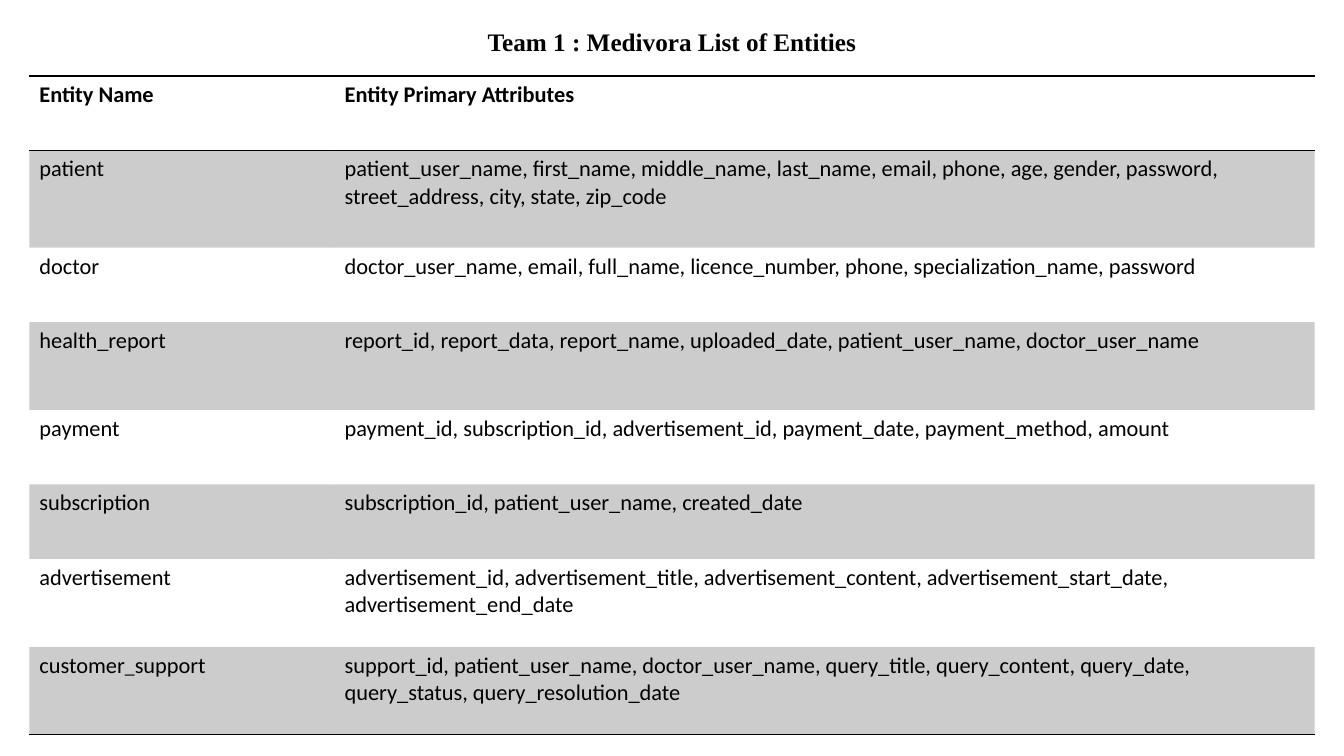
from pptx import Presentation
from pptx.dml.color import RGBColor as RGB
from pptx.enum.text import MSO_ANCHOR as Anchor, MSO_AUTO_SIZE as Fit, PP_ALIGN as Align
from pptx.oxml.ns import qn
from pptx.util import Pt
from lxml.etree import SubElement as Sub

HUES = {"ink": "000000"}
PLAIN = "{2D5ABB26-0587-4C30-8999-92F81FD0307C}"
COLS = [218, 700]
SHORT, MID, TALL = 53.2, 62.8, 69.4
ROWS = [
    (SHORT, "Entity Name", "Entity Primary Attributes"),
    (TALL, "patient", "patient_user_name, first_name, middle_name, last_name, email, phone, "
     "age, gender, password, street_address, city, state, zip_code"),
    (SHORT, "doctor", "doctor_user_name, email, full_name, licence_number, phone, "
     "specialization_name, password"),
    (MID, "health_report", "report_id, report_data, report_name, uploaded_date, "
     "patient_user_name, doctor_user_name"),
    (SHORT, "payment", "payment_id, subscription_id, advertisement_id, payment_date, "
     "payment_method, amount"),
    (SHORT, "subscription", "subscription_id, patient_user_name, created_date"),
    (MID, "advertisement", "advertisement_id, advertisement_title, advertisement_content, "
     "advertisement_start_date, advertisement_end_date"),
    (MID, [("customer", 16), ("_", 14), ("support", 16)],
     "support_id, patient_user_name, doctor_user_name, query_title, query_content, "
     "query_date, query_status, query_resolution_date"),
]


def write(frame, text, size=16, font="Calibri", bold=False, align=Align.LEFT):
    """Write one paragraph, given as a string or as (piece, size) pairs."""
    frame.word_wrap = True
    para = frame.paragraphs[0]
    para.alignment = align
    for piece, points in [(text, size)] if isinstance(text, str) else text:
        run = para.add_run()
        run.text = piece
        run.font.size, run.font.name, run.font.bold = Pt(points), font, bold
        run.font.color.rgb = RGB.from_string(HUES["ink"])


def rule(cell, side):
    """Draw a one-point border on the side lnT or lnB of a cell."""
    line = Sub(cell._tc.get_or_add_tcPr(), qn(f"a:{side}"), w=str(Pt(1)))
    Sub(Sub(line, qn("a:solidFill")), qn("a:srgbClr"), val=HUES["ink"])


def shade(cell, alpha):
    """Fill a cell with ink at the given percentage of opacity."""
    cell.fill.solid()
    cell.fill.fore_color.rgb = RGB.from_string(HUES["ink"])
    hue = cell._tc.tcPr.find(".//" + qn("a:solidFill") + "[last()]/" + qn("a:srgbClr"))
    for hue in cell._tc.tcPr.findall(qn("a:solidFill") + "/" + qn("a:srgbClr")):
        Sub(hue, qn("a:alpha"), val=str(alpha * 1000))


def head(slide, text):
    """Place and format the slide title."""
    title = slide.shapes.title
    title.left, title.top, title.width, title.height = Pt(338), Pt(15), Pt(284), Pt(27)
    frame = title.text_frame
    frame.auto_size, frame.vertical_anchor = Fit.NONE, Anchor.TOP
    write(frame, text, size=18, font="Times New Roman", bold=True, align=Align.CENTER)


def grid(slide, left, top):
    """Add the table of entities with banded rows and three rules."""
    high = sum(row[0] for row in ROWS)
    table = slide.shapes.add_table(len(ROWS), len(COLS), Pt(left), Pt(top),
                                   Pt(sum(COLS)), Pt(high)).table
    table._tbl.tblPr.find(qn("a:tableStyleId")).text = PLAIN
    table.first_row = table.horz_banding = False
    for col, wide in zip(table.columns, COLS):
        col.width = Pt(wide)
    last = len(ROWS) - 1
    for r, (tall, *texts) in enumerate(ROWS):
        table.rows[r].height = Pt(tall)
        for c, text in enumerate(texts):
            cell = table.cell(r, c)
            write(cell.text_frame, text, bold=r == 0)
            if r == 0:
                rule(cell, "lnT")
            if r in (0, last):
                rule(cell, "lnB")
            if r % 2:
                shade(cell, 20)
            else:
                cell.fill.background()


def main():
    """Build the slide and save it."""
    deck = Presentation()
    deck.slide_width, deck.slide_height = Pt(960), Pt(540)
    slide = deck.slides.add_slide(deck.slide_layouts[5])
    head(slide, "Team 1 : Medivora List of Entities")
    grid(slide, left=21, top=54.3)
    deck.save("out.pptx")


if __name__ == "__main__":
    main()
